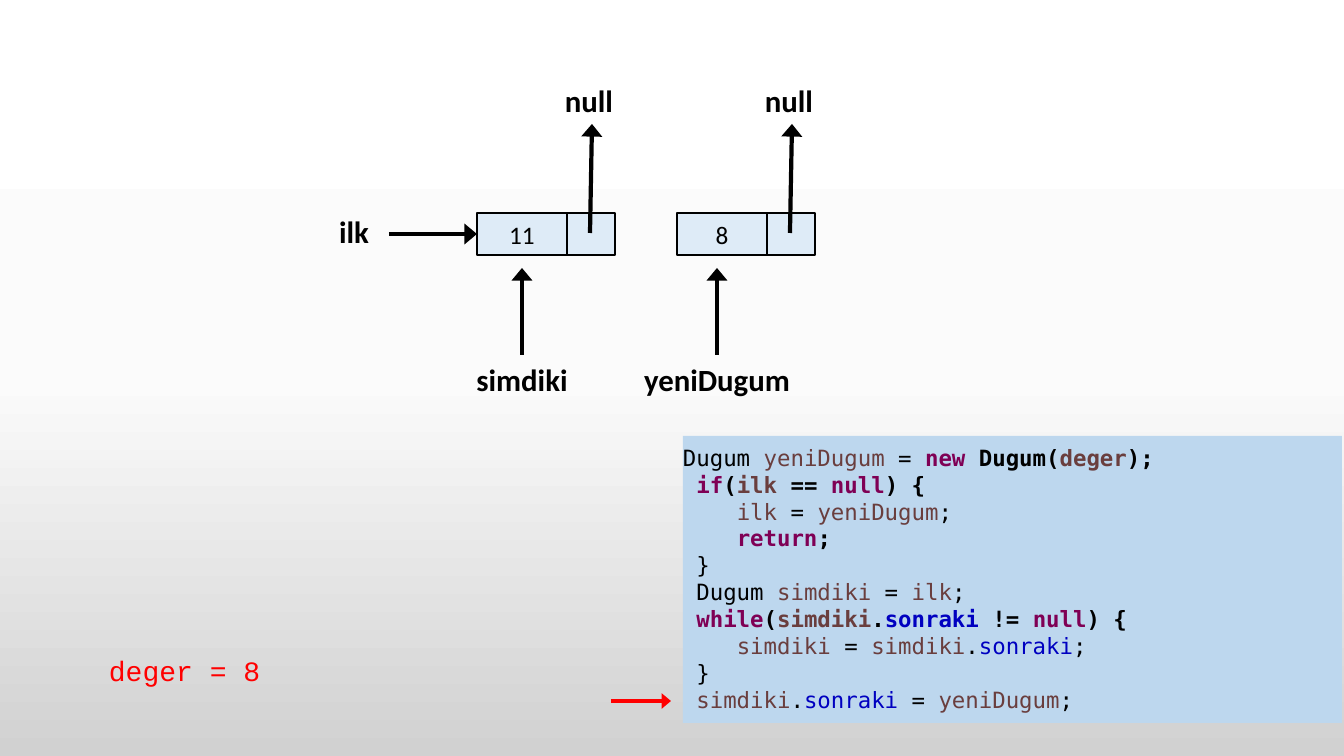
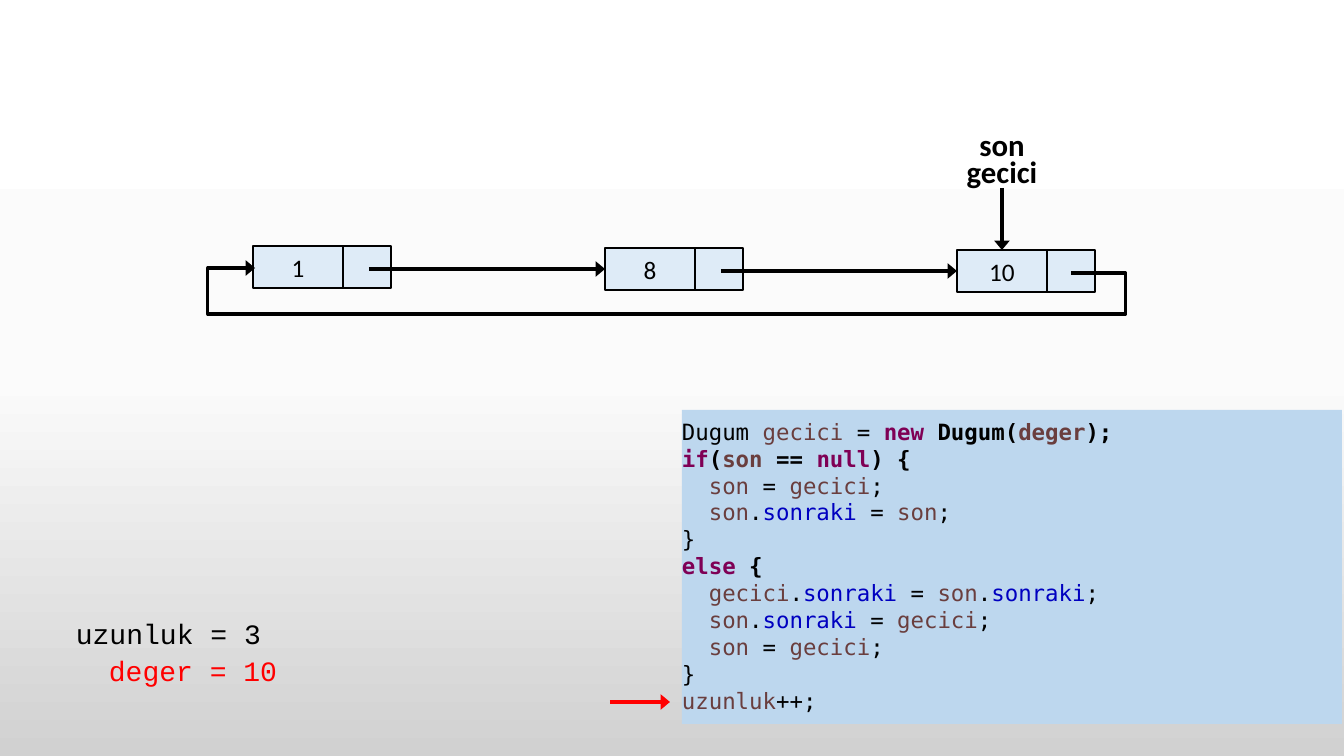
import copy
import itertools

import pptx
import pptx.dml.color
import pptx.enum.shapes
import pptx.enum.text
import pptx.oxml
import pptx.oxml.ns
import pptx.util

PX = 914400 / 100.8
SLIDE_W, SLIDE_H = 1344, 756
DATA_W, NEXT_W, NODE_H = 90, 48, 42
LABEL_H = 47
VALUE_W, VALUE_H = 240, 44

COLORS = {
    "ink": "000000", "value": "FF0000", "node": "DEEBF7", "panel": "BDD7EE",
    "keyword": "7F0055", "variable": "6A3E3E", "field": "0000C0",
}
BACKGROUND = [(0, "FFFFFF"), (0.5, "FBFBFB"), (1, "D1D1D1")]
LABEL_FONT, VALUE_FONT, CODE_FONT = "Calibri", "Courier New", "DejaVu Sans Mono"
KEYWORDS = {"new", "if", "else", "while", "return", "null"}
FIELDS = {"sonraki"}
CLASSES = {"Dugum"}

ADD_TO_END = """Dugum yeniDugum = new Dugum(deger);
 if(ilk == null) {
    ilk = yeniDugum;
    return;
 }
 Dugum simdiki = ilk;
 while(simdiki.sonraki != null) {
    simdiki = simdiki.sonraki;
 }
 simdiki.sonraki = yeniDugum;"""

ADD_TO_CIRCLE = """Dugum gecici = new Dugum(deger);
if(son == null) {
  son = gecici;
  son.sonraki = son;
}
else {
  gecici.sonraki = son.sonraki;
  son.sonraki = gecici;
  son = gecici;
}
uzunluk++;"""


def emu(*lengths):
    return [pptx.util.Emu(round(length * PX)) for length in lengths]


def rgb(name):
    return pptx.dml.color.RGBColor.from_string(COLORS[name])


def set_background(master):
    fill = master.background.fill
    fill.gradient()
    fill.gradient_angle = 270
    stops = master.element.find(".//" + pptx.oxml.ns.qn("a:gsLst"))
    stops.append(copy.deepcopy(stops[-1]))
    for stop, (position, color) in zip(fill.gradient_stops, BACKGROUND):
        stop.position = position
        stop.color.rgb = pptx.dml.color.RGBColor.from_string(color)


def style(font, face, size, color="ink", bold=False):
    font.name, font.size, font.bold = face, pptx.util.Pt(size), bold
    font.color.rgb = rgb(color)


def add_box(slide, x, y, w, h, color):
    box = slide.shapes.add_shape(
        pptx.enum.shapes.MSO_SHAPE.RECTANGLE, *emu(x, y, w, h))
    box.shadow.inherit = False
    box.fill.solid()
    box.fill.fore_color.rgb = rgb(color)
    return box


def add_text(slide, text, x, y, w, h):
    frame = slide.shapes.add_textbox(*emu(x, y, w, h)).text_frame
    frame.word_wrap = False
    frame.text = text
    return frame.paragraphs[0]


def add_label(slide, text, center, top, width=96):
    label = add_text(slide, text, center - width / 2, top, width, LABEL_H)
    label.alignment = pptx.enum.text.PP_ALIGN.CENTER
    style(label.font, LABEL_FONT, 22, bold=True)


def add_value(slide, text, x, y, color):
    value = add_text(slide, text, x, y, VALUE_W, VALUE_H)
    style(value.font, VALUE_FONT, 20, color)


def add_arrow(slide, start, end, width=2.25, color="ink",
              kind=pptx.enum.shapes.MSO_CONNECTOR.STRAIGHT):
    arrow = slide.shapes.add_connector(kind, *emu(*start, *end))
    arrow.line.color.rgb = rgb(color)
    arrow.line.width = pptx.util.Pt(width)
    props = arrow._element.spPr
    line = props.find(pptx.oxml.ns.qn("a:ln"))
    line.append(pptx.oxml.parse_xml(
        f'<a:tailEnd {pptx.oxml.ns.nsdecls("a")} type="triangle" w="lg"/>'))
    props.append(pptx.oxml.parse_xml(
        f'<a:effectLst {pptx.oxml.ns.nsdecls("a")}/>'))
    return arrow


def add_loop(slide, start, end, right, bottom, left):
    """Arrow that leaves start to the right, runs below and enters end from the left."""
    loop = add_arrow(slide, end, start,
                     kind=pptx.enum.shapes.MSO_CONNECTOR.ELBOW)
    loop._element.spPr.find(pptx.oxml.ns.qn("a:xfrm")).set("rot", "10800000")
    geometry = loop._element.spPr.find(pptx.oxml.ns.qn("a:prstGeom"))
    geometry.set("prst", "bentConnector5")
    width, height = start[0] - end[0], start[1] - end[1]
    bends = [(start[0] - right) / width, (start[1] - bottom) / height,
             (start[0] - left) / width]
    guides = geometry.find(pptx.oxml.ns.qn("a:avLst"))
    for number, bend in enumerate(bends, 1):
        guides.append(pptx.oxml.parse_xml(
            f'<a:gd {pptx.oxml.ns.nsdecls("a")} name="adj{number}" '
            f'fmla="val {round(bend * 100000)}"/>'))


def add_node(slide, value, x, y):
    """Data cell and next cell side by side; returns the data cell."""
    data = add_box(slide, x, y, DATA_W, NODE_H, "node")
    following = add_box(slide, x + DATA_W, y, NEXT_W, NODE_H, "node")
    for cell in (data, following):
        cell.line.color.rgb = rgb("ink")
        cell.line.width = pptx.util.Pt(1)
    frame = data.text_frame
    frame.text = value
    frame.vertical_anchor = pptx.enum.text.MSO_ANCHOR.MIDDLE
    frame.paragraphs[0].alignment = pptx.enum.text.PP_ALIGN.CENTER
    style(frame.paragraphs[0].font, LABEL_FONT, 18)
    return data


def token_color(token):
    if token in KEYWORDS:
        return "keyword"
    if token in FIELDS:
        return "field"
    return "variable" if token.isalnum() and token not in CLASSES else "ink"


def write_code_line(paragraph, line):
    """Colour each token; a keyword makes the rest of its line bold."""
    bold = False
    for _, letters in itertools.groupby(line, str.isalnum):
        token = "".join(letters)
        bold = bold or token in KEYWORDS
        run = paragraph.add_run()
        run.text = token
        run.font.bold = bold
        run.font.color.rgb = rgb(token_color(token))
    paragraph.alignment = pptx.enum.text.PP_ALIGN.LEFT
    paragraph.line_spacing = pptx.util.Pt(19.2)
    paragraph.font.name = CODE_FONT
    paragraph.font.size = pptx.util.Pt(16)


def add_code(slide, code, x, y, w, h):
    """Code panel with a red arrow at its last line."""
    panel = add_box(slide, x, y, w, h, "panel")
    panel.line.fill.background()
    frame = panel.text_frame
    frame.word_wrap = True
    frame.vertical_anchor = pptx.enum.text.MSO_ANCHOR.TOP
    frame.margin_left, frame.margin_right, frame.margin_top, frame.margin_bottom = emu(0, 0, 8, 8)
    for number, line in enumerate(code.splitlines()):
        paragraph = frame.add_paragraph() if number else frame.paragraphs[0]
        write_code_line(paragraph, line)
    current = y + h - 22
    add_arrow(slide, (x - 72, current), (x - 12, current), color="value")


def add_loose_node(slide, value, pointer, pointer_x, x, y):
    """Node whose next cell points to null, with a named pointer below."""
    data = add_node(slide, value, x, y)
    add_label(slide, "null", x + 112, y - 136)
    add_arrow(slide, (x + 113, y + 20), (x + 115, y - 89), 3)
    add_label(slide, pointer, pointer_x, y + 143, 168)
    add_arrow(slide, (pointer_x, y + 142), (pointer_x, y + 55), 3)
    return data


def add_linear_slide(prs):
    slide = prs.slides.add_slide(prs.slide_layouts[6])
    top = 213
    add_code(slide, ADD_TO_END, 683, 436, 659, 287)
    first = add_loose_node(slide, "11", "simdiki", 522, 477, top)
    add_loose_node(slide, "8", "yeniDugum", 717, 677, top)
    add_label(slide, "ilk", 354, 208, 50)
    middle = top + NODE_H / 2
    add_arrow(slide, (389, middle), (477, middle), 3).end_connect(first, 1)
    add_value(slide, "deger = 8", 99, 649, "value")


def add_circular_slide(prs):
    slide = prs.slides.add_slide(prs.slide_layouts[6])
    left, top, step, drop = 253, 246, 352, 2
    for number, value in enumerate(("1", "8", "10")):
        x, y = left + number * step, top + number * drop
        data = add_node(slide, value, x, y)
        if number:
            middle = y + NODE_H / 2
            link = add_arrow(slide, (x - step + 116, middle), (x, middle))
            link.end_connect(data, 1)
    center = x + DATA_W / 2
    add_label(slide, "son", center, 121)
    add_label(slide, "gecici", center, 148)
    add_arrow(slide, (center, 188), (center, y)).end_connect(data, 0)
    add_loop(slide, (1071, 273), (255, 268), right=1126, bottom=314, left=208)
    add_value(slide, "uzunluk = 3", 66, 612, "ink")
    add_value(slide, "deger = 10", 99, 649, "value")
    add_code(slide, ADD_TO_CIRCLE, 682, 410, 660, 314)


def main():
    prs = pptx.Presentation()
    prs.slide_width, prs.slide_height = emu(SLIDE_W, SLIDE_H)
    set_background(prs.slide_master)
    add_linear_slide(prs)
    add_circular_slide(prs)
    prs.save("out.pptx")


if __name__ == "__main__":
    main()
